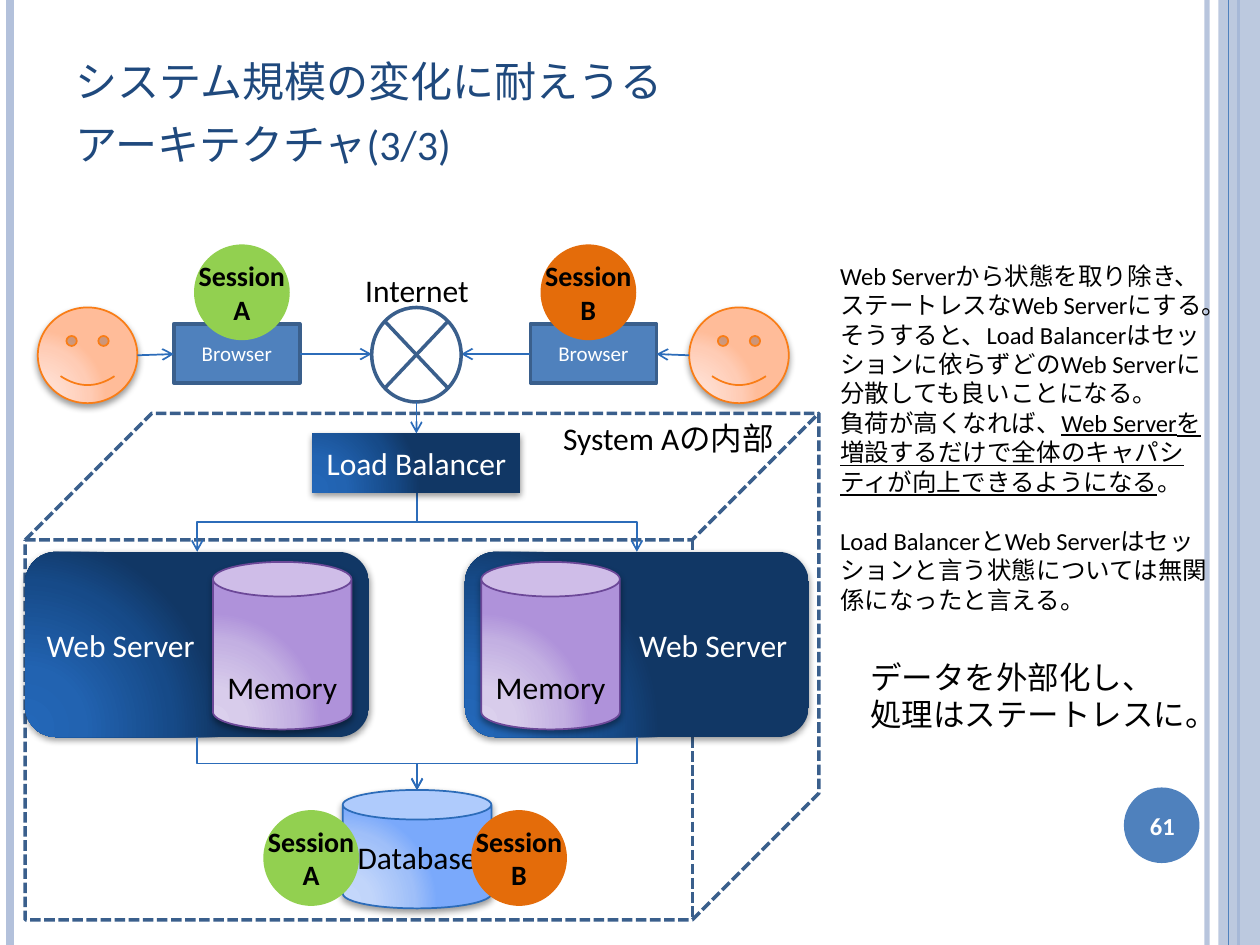
from pptx import Presentation
from pptx.dml.color import RGBColor
from pptx.enum.dml import MSO_LINE
from pptx.enum.shapes import MSO_CONNECTOR, MSO_SHAPE
from pptx.enum.text import MSO_ANCHOR, PP_ALIGN
from pptx.oxml import parse_xml
from pptx.oxml.ns import nsdecls, qn
from pptx.util import Inches, Pt

LEFT, CENTER, RIGHT = PP_ALIGN.LEFT, PP_ALIGN.CENTER, PP_ALIGN.RIGHT
TOP, MIDDLE, BOTTOM = MSO_ANCHOR.TOP, MSO_ANCHOR.MIDDLE, MSO_ANCHOR.BOTTOM
RECT, ROUND, OVAL = MSO_SHAPE.RECTANGLE, MSO_SHAPE.ROUNDED_RECTANGLE, MSO_SHAPE.OVAL
CAN, CUBE, FACE = MSO_SHAPE.CAN, MSO_SHAPE.CUBE, MSO_SHAPE.SMILEY_FACE
JUNCTION = MSO_SHAPE.FLOWCHART_SUMMING_JUNCTION
STRAIGHT, ELBOW = MSO_CONNECTOR.STRAIGHT, MSO_CONNECTOR.ELBOW
DASH = MSO_LINE.SQUARE_DOT

COLORS = {
    "white": "FFFFFF", "black": "000000", "title": "1F497D", "accent": "4F81BD",
    "band": "B3C1DB", "edge": "3A5F8C", "flow": "2C6CB9", "memory": "6C4898",
    "face": "F97D16", "A": "92D050", "B": "E46C0A",
}
GRADIENTS = {
    "server": ("2367B8", "2263B1", "164A88", "113765"),
    "database": ("C7D8FB", "C1D5FA", "9FBFF9", "7AA9FB"),
    "memory": ("DBD0ED", "D8CCEB", "C3B0E2", "AF92DA"),
    "face": ("FFE0D3", "FFDDCF", "FFCCB5", "FFBC99"),
}
STOPS = (0, 30, 75, 100)
FONT = "Calibri"
COLS, ROWS = 100, 75
SLIDE_W, SLIDE_H = Inches(10), Inches(7.5)
COL, ROW = SLIDE_W / COLS, SLIDE_H / ROWS


def rgb(name):
    return RGBColor.from_string(COLORS[name])


def point(box, col, row):
    return round((box[0] + col) * COL), round((box[1] + row) * ROW)


def area(box, col, row, w, h):
    return (*point(box, col, row), round(w * COL), round(h * ROW))


def write(tf, paragraphs, size, color="black", align=LEFT, anchor=TOP, bold=False, wrap=True):
    tf.word_wrap = wrap
    tf.vertical_anchor = anchor
    for i, runs in enumerate(paragraphs):
        p = tf.paragraphs[0] if i == 0 else tf.add_paragraph()
        p.alignment = align
        for text, underline in runs:
            for j, line in enumerate(text.split("\n")):
                if j:
                    p.add_line_break()
                r = p.add_run()
                r.text = line
                r.font.name = FONT
                r.font.size = Pt(size)
                r.font.bold = bold
                r.font.underline = underline
                r.font.color.rgb = rgb(color)


def plain(*lines):
    return [[(line, False)] for line in lines]


def set_alpha(parent, percent):
    color = next(parent.iter(qn("a:srgbClr")))
    color.append(parse_xml(f'<a:alpha {nsdecls("a")} val="{percent * 1000}"/>'))


def add_gradient(sp, name):
    stops = "".join(f'<a:gs pos="{pos * 1000}"><a:srgbClr val="{color}"/></a:gs>'
                    for pos, color in zip(STOPS, GRADIENTS[name]))
    geometry = sp.element.spPr.find(qn("a:prstGeom"))
    geometry.addnext(parse_xml(
        f'<a:gradFill {nsdecls("a")} rotWithShape="1"><a:gsLst>{stops}</a:gsLst>'
        '<a:path path="circle"><a:fillToRect l="5000" t="100000" r="120000" b="10000"/>'
        '</a:path></a:gradFill>'))


def add_shadow(sp, alpha, dist):
    sp.element.spPr.find(qn("a:effectLst")).append(parse_xml(
        f'<a:outerShdw {nsdecls("a")} blurRad="{Pt(4)}" dist="{Pt(dist)}" dir="5400000" '
        f'rotWithShape="0"><a:srgbClr val="000000"><a:alpha val="{alpha * 1000}"/>'
        '</a:srgbClr></a:outerShdw>'))


def add_shape(s, kind, place, fill=None, gradient=None, line=None, width=1):
    sp = s.shapes.add_shape(kind, *place)
    if gradient:
        add_gradient(sp, gradient)
    elif fill:
        sp.fill.solid()
        sp.fill.fore_color.rgb = rgb(fill)
    else:
        sp.fill.background()
    if line:
        sp.line.color.rgb = rgb(line)
        sp.line.width = Pt(width)
    else:
        sp.line.fill.background()
    sp.shadow.inherit = False
    if gradient:
        add_shadow(sp, *((40, 2) if line else (42, 1.6)))
    return sp


def add_text(s, place, paragraphs, size, **style):
    tf = s.shapes.add_textbox(*place).text_frame
    write(tf, paragraphs, size, **style)
    return tf


def finish_line(c, color, width, arrow):
    c.line.color.rgb = rgb(color)
    c.line.width = Pt(width)
    spPr = c.element.spPr
    if arrow:
        spPr.get_or_add_ln().append(parse_xml(f'<a:tailEnd {nsdecls("a")} type="arrow"/>'))
    spPr.append(parse_xml(f'<a:effectLst {nsdecls("a")}/>'))
    return c


def add_line(s, start, end, color="flow", width=1, arrow=True):
    return finish_line(s.shapes.add_connector(STRAIGHT, *start, *end), color, width, arrow)


def add_elbow(s, start, end):
    (x1, y1), (x2, y2) = start, end
    mid_x, mid_y = (x1 + x2) // 2, (y1 + y2) // 2
    half_w, half_h = abs(y2 - y1) // 2, abs(x2 - x1) // 2
    c = s.shapes.add_connector(ELBOW, mid_x - half_w, mid_y - half_h, mid_x + half_w, mid_y + half_h)
    xfrm = c.element.spPr.xfrm
    xfrm.set("rot", "5400000" if x2 < x1 else "16200000")
    if x2 > x1:
        xfrm.set("flipH", "1")
    finish_line(c, "flow", 1, True)


def add_session(s, place, name):
    sp = add_shape(s, OVAL, place, fill=name)
    write(sp.text_frame, plain("Session", name), 16, align=CENTER, anchor=MIDDLE, bold=True, wrap=False)


def draw_frame(s, box):
    def rule(col, color, width):
        return add_line(s, point(box, col, 0), point(box, col, box[3]), color, width, False)

    set_alpha(rule(95.8, "band", 3).element.spPr, 93)
    rule(0.8, "band", 4.5)
    rule(98.3, "accent", 1.5)
    band = add_shape(s, RECT, area(box, 96.7, 0, 3.3, box[3]), fill="band")
    set_alpha(band.element.spPr, 87)
    rule(97.5, "accent", 0.75)
    add_shape(s, OVAL, area(box, 89.2, 62.5, 6, 6), fill="accent")
    add_text(s, area(box, 88.9, 62.7, 6.7, 5.7), plain("61"), 14,
             color="white", align=CENTER, anchor=MIDDLE, bold=True)


def draw_title(s, box):
    title = s.shapes.title
    title.left, title.top, title.width, title.height = area(box, 0, 0, *box[2:])
    write(title.text_frame, plain("システム規模の変化に耐えうる\nアーキテクチャ(3/3)"), 30,
          color="title", anchor=BOTTOM)
    for r in title.text_frame.paragraphs[0].runs:
        r.font._element.set("cap", "small")


def draw_system(s, box):
    add_shape(s, CUBE, area(box, 0, 0, *box[2:]), line="edge", width=2).line.dash_style = DASH
    hub, server_w, server_h, server_top = 31.1, 27.3, 14.7, 11
    for col, align, memory_col in ((0, LEFT, 14.9), (34.9, RIGHT, 36.2)):
        sp = add_shape(s, ROUND, area(box, col, server_top, server_w, server_h), gradient="server")
        write(sp.text_frame, plain("Web Server"), 18, color="white", align=align, anchor=MIDDLE)
        middle = col + server_w / 2
        add_elbow(s, point(box, hub, 6.3), point(box, middle, server_top))
        add_elbow(s, point(box, middle, server_top + server_h), point(box, hub, 29.9))
        sp = add_shape(s, CAN, area(box, memory_col, 11.8, 11, 13.3), gradient="memory", line="memory")
        write(sp.text_frame, plain("Memory"), 18, align=CENTER, anchor=BOTTOM)
    sp = add_shape(s, RECT, area(box, 22.8, 1.6, 16.5, 4.7), gradient="server")
    write(sp.text_frame, plain("Load Balancer"), 18, color="white", align=CENTER, anchor=MIDDLE)
    sp = add_shape(s, CAN, area(box, 25.2, 29.9, 11.8, 9.4), gradient="database", line="flow")
    write(sp.text_frame, plain("Database"), 18, align=CENTER, anchor=MIDDLE)
    for name, col in (("A", 18.9), ("B", 35.4)):
        add_session(s, area(box, col, 31.5, 7.6, 7.6), name)
    add_text(s, area(box, 41.7, 0, 18.9, 4), plain("System Aの内部"), 18)


def draw_clients(s, box):
    axis, net_left, net_right = 8.7, 26.5, 33.6
    hub = (net_left + net_right) / 2
    clients = (("A", 0, 10.8, 12.4, 7.9, 10.8, 20.8, net_left),
               ("B", 51.7, 39.1, 39.9, 51.7, 49.1, 39.1, net_right))
    for name, face, browser, session, face_end, near, far, net in clients:
        sp = add_shape(s, RECT, area(box, browser, 6.3, 10, 4.7), fill="accent", line="edge", width=2)
        write(sp.text_frame, plain("Browser"), 12, color="white", align=CENTER, anchor=MIDDLE)
        add_shape(s, FACE, area(box, face, 5, 7.9, 7.6), gradient="face", line="face")
        add_line(s, point(box, face_end, axis + 0.1), point(box, near, axis))
        add_line(s, point(box, far, axis), point(box, net, axis))
        add_session(s, area(box, session, 0, 7.6, 7.6), name)
    add_shape(s, JUNCTION, area(box, net_left, 5, 7.1, 7.5), line="edge", width=2)
    add_line(s, point(box, hub, 12.5), point(box, hub, 15))
    add_text(s, area(box, 25, 1.6, 10.3, 4), plain("Internet"), 18, wrap=False)


def draw_notes(s, box):
    paragraphs = plain(
        "Web Serverから状態を取り除き、ステートレスなWeb Serverにする。",
        "そうすると、Load Balancerはセッションに依らずどのWeb Serverに分散しても良いことになる。")
    paragraphs.append([("負荷が高くなれば、", False),
                       ("Web Serverを増設するだけで全体のキャパシティが向上できるようになる", True),
                       ("。", False)])
    paragraphs += plain("Load BalancerとWeb Serverはセッションと言う状態については無関係になったと言える。")
    tf = add_text(s, area(box, 0, 0, box[2], 29.3), paragraphs, 14)
    tf.paragraphs[-1].space_before = Pt(17)
    add_text(s, area(box, 2.4, 31.5, 27.5, 7.1), plain("データを外部化し、\n処理はステートレスに。"), 18)


def main():
    prs = Presentation()
    prs.slide_width, prs.slide_height = SLIDE_W, SLIDE_H
    s = prs.slides.add_slide(prs.slide_layouts[5])
    draw_frame(s, (0, 0, COLS, ROWS))
    draw_title(s, (5, 1.6, 81.7, 12.5))
    draw_system(s, (2, 32.8, 63, 40.2))
    draw_clients(s, (3, 19.4, 59.6, 12.6))
    draw_notes(s, (65.7, 20.2, 32.3, 38.6))
    prs.save("out.pptx")


if __name__ == "__main__":
    main()
